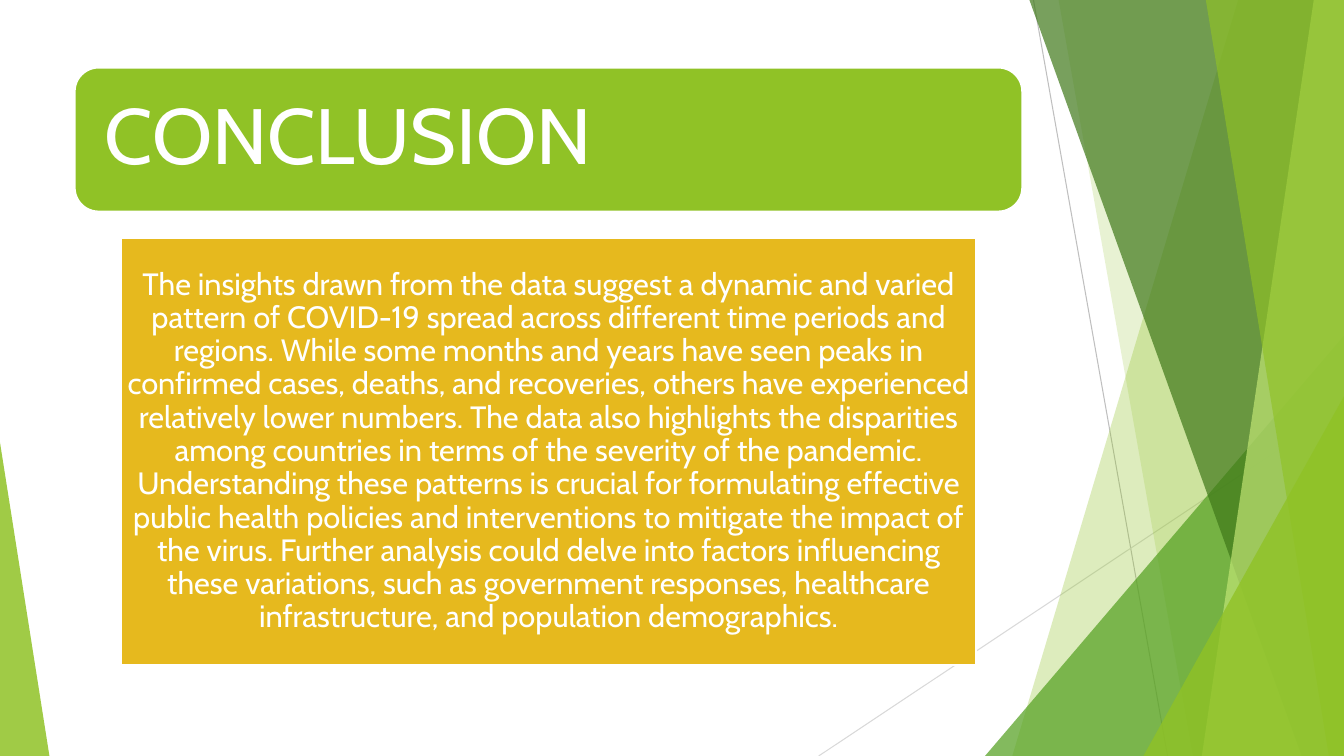
from lxml import etree
from pptx import Presentation
from pptx.dml.color import RGBColor
from pptx.enum import shapes, text
from pptx.oxml.ns import qn
from pptx.util import Inches, Pt

WIDTH, HEIGHT = 13.33, 7.5
GREEN, GOLD, WHITE = "90C226", "E6B91E", "FFFFFF"
FONT = "Cabin"
TITLE = "CONCLUSION"
BODY = (
    "The insights drawn from the data suggest a dynamic and varied pattern of "
    "COVID-19 spread across different time periods and regions. While some months "
    "and years have seen peaks in confirmed cases, deaths, and recoveries, others "
    "have experienced relatively lower numbers. The data also highlights the "
    "disparities among countries in terms of the severity of the pandemic. "
    "Understanding these patterns is crucial for formulating effective public "
    "health policies and interventions to mitigate the impact of the virus. "
    "Further analysis could delve into factors influencing these variations, such "
    "as government responses, healthcare infrastructure, and population "
    "demographics."
)


def rgb(hex_color):
    return RGBColor.from_string(hex_color)


def paint(sp, color, alpha=100):
    """Solid fill with opacity in percent, no outline, no shadow."""
    sp.shadow.inherit = False
    sp.fill.solid()
    sp.fill.fore_color.rgb = rgb(color)
    sp.line.fill.background()
    if alpha < 100:
        clr = sp.fill._xPr.find(".//" + qn("a:srgbClr"))
        etree.SubElement(clr, qn("a:alpha"), val=str(alpha * 1000))


def add_line(slide, start, end, color):
    ends = [Inches(v) for v in (*start, *end)]
    line = slide.shapes.add_connector(shapes.MSO_CONNECTOR.STRAIGHT, *ends)
    line.line.color.rgb = rgb(color)
    line.line.width = Pt(0.75)
    etree.SubElement(line._element.spPr, qn("a:effectLst"))


def add_band(slide, box, top_x, bottom_x, color, alpha):
    """Facet from a slanted left edge to the right side of the box."""
    left, top, width, height = box
    right, bottom = left + width, top + height
    builder = slide.shapes.build_freeform(
        Inches(left + top_x), Inches(top), scale=1.0)
    corners = [(right, top), (right, bottom), (left + bottom_x, bottom)]
    builder.add_line_segments([(Inches(x), Inches(y)) for x, y in corners])
    paint(builder.convert_to_shape(), color, alpha)


def add_triangle(slide, box, apex, color, alpha):
    sp = slide.shapes.add_shape(
        shapes.MSO_SHAPE.ISOSCELES_TRIANGLE, *map(Inches, box))
    sp.adjustments[0] = apex
    paint(sp, color, alpha)


def add_facets(slide, box):
    """Translucent facets along the right side, placed inside the box."""
    left, top, width, height = box
    right, bottom = left + width, top + height

    def corner(w, h):
        return right - w, bottom - h, w, h

    # Thin lines behind the facets
    add_line(slide, (left + 0.48, top), (left + 1.81, bottom), "BFBFBF")
    add_line(slide, (right, top + 4.03), (left - 1.65, bottom), "D9D9D9")

    # Bands and corner triangles, back to front
    add_band(slide, box, 2.51, 0.27, GREEN, 30)
    add_band(slide, box, 0.73, 2.06, GREEN, 20)
    add_triangle(slide, corner(3.56, 4.17), 1, "54A021", 72)
    add_band(slide, box, 0.44, 3.14, "3F7819", 70)
    add_band(slide, box, 3.26, 2.15, "C0E474", 70)
    add_band(slide, box, 2.19, 3.41, GREEN, 65)
    add_triangle(slide, corner(1.99, 3.57), 1, GREEN, 80)


def add_panel(slide, box, kind, color, words, size, align, inset):
    sp = slide.shapes.add_shape(kind, *map(Inches, box))
    paint(sp, color)
    sp.line.color.rgb = rgb(WHITE)
    sp.line.width = Pt(1.5)
    tf = sp.text_frame
    tf.word_wrap = True
    tf.vertical_anchor = text.MSO_ANCHOR.MIDDLE
    tf.margin_left = tf.margin_right = Inches(inset)
    tf.margin_top = tf.margin_bottom = Inches(inset)
    p = tf.paragraphs[0]
    p.text = words
    p.alignment = align
    p.line_spacing = 0.9
    p.font.name = FONT
    p.font.size = Pt(size)
    p.font.color.rgb = rgb(WHITE)


def main():
    prs = Presentation()
    prs.slide_width, prs.slide_height = Inches(WIDTH), Inches(HEIGHT)
    slide = prs.slides.add_slide(prs.slide_layouts[6])

    # Background decoration
    add_facets(slide, (9.77, 0, WIDTH - 9.77, HEIGHT))
    add_triangle(slide, (0, 4.39, 0.49, 3.11), 0, GREEN, 85)

    # Title banner and conclusion text
    add_panel(slide, (0.74, 0.67, 9.4, 1.43), shapes.MSO_SHAPE.ROUNDED_RECTANGLE,
              GREEN, TITLE, 56, text.PP_ALIGN.LEFT, 0.23)
    add_panel(slide, (1.2, 2.36, 8.48, 4.24), shapes.MSO_SHAPE.RECTANGLE,
              GOLD, BODY, 22, text.PP_ALIGN.CENTER, 0.02)

    prs.save("out.pptx")


if __name__ == "__main__":
    main()
